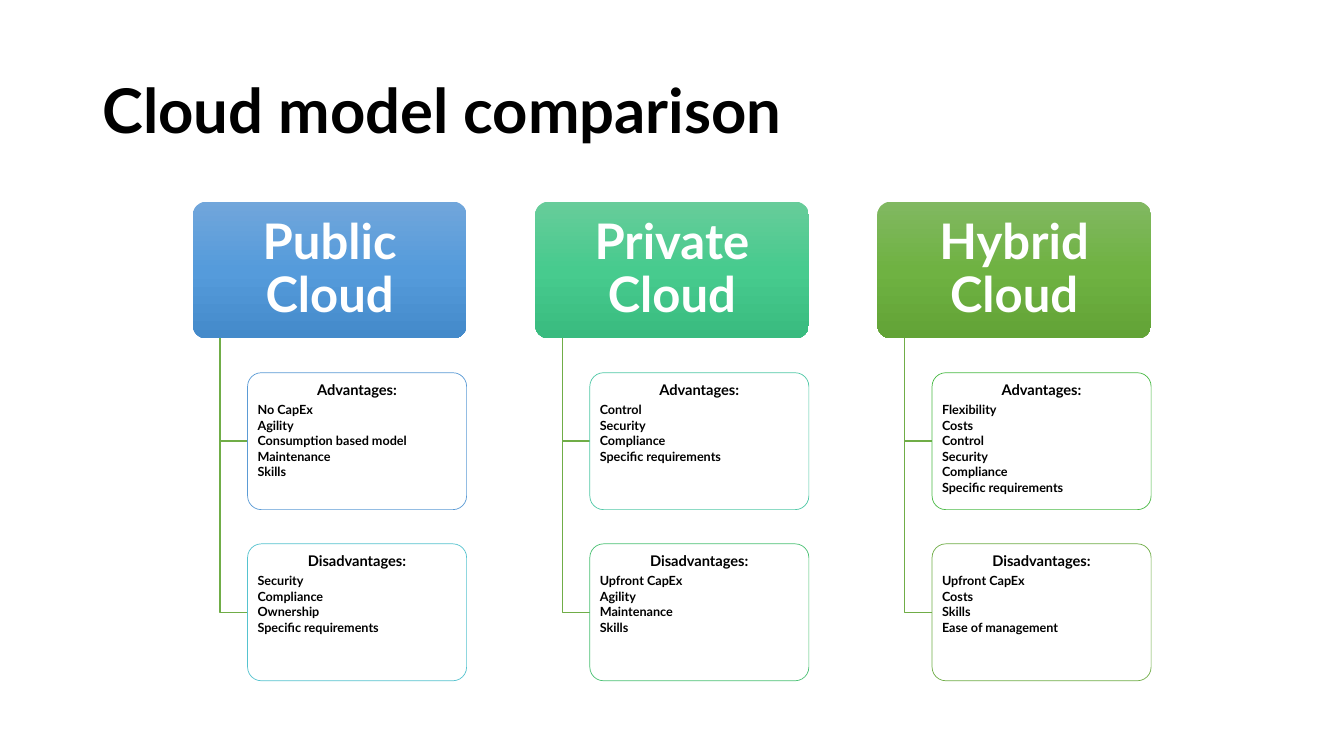
from copy import deepcopy

from pptx import Presentation
from pptx.dml.color import RGBColor
from pptx.enum.shapes import MSO_SHAPE
from pptx.enum.text import MSO_ANCHOR, MSO_AUTO_SIZE, PP_ALIGN
from pptx.util import Cm, Pt

# Grid in cm: every size follows from the header width
LEFT, TOP = 4.86, 5.08
HEAD_W = 6.9
BOX_H = HEAD_W / 2
COL_STEP = HEAD_W * 1.25
ROW_STEP = BOX_H * 1.25
CARD_INDENT = HEAD_W / 5
CARD_W = HEAD_W - CARD_INDENT
STEM = HEAD_W / 10

# Heading, gradient, then (card title, outline, items) for each cloud model
MODELS = [
    ("Public Cloud", ("71A6DB", "559BDB", "448ACA"), [
        ("Advantages:", "5B9BD5", ["No CapEx", "Agility", "Consumption based model",
                                   "Maintenance", "Skills"]),
        ("Disadvantages:", "55C3CF", ["Security", "Compliance", "Ownership",
                                      "Specific requirements"]),
    ]),
    ("Private Cloud", ("67CC9A", "47CB8E", "39BB7F"), [
        ("Advantages:", "50C8A7", ["Control", "Security", "Compliance",
                                   "Specific requirements"]),
        ("Disadvantages:", "4BC174", ["Upfront CapEx", "Agility", "Maintenance", "Skills"]),
    ]),
    ("Hybrid Cloud", ("81B861", "6FB242", "62A336"), [
        ("Advantages:", "4ABA46", ["Flexibility", "Costs", "Control", "Security",
                                   "Compliance", "Specific requirements"]),
        ("Disadvantages:", "70AD47", ["Upfront CapEx", "Costs", "Skills",
                                      "Ease of management"]),
    ]),
]


def rgb(value):
    return RGBColor.from_string(value)


def write(p, text, size=9, color="000000", align=PP_ALIGN.LEFT, after=0):
    p.alignment = align
    p.line_spacing = 0.9
    p.space_before = Pt(0)
    p.space_after = Pt(after)
    r = p.add_run()
    r.text = text
    r.font.name = "Lato"
    r.font.size = Pt(size)
    r.font.bold = True
    r.font.color.rgb = rgb(color)


class ComparisonSlide:
    link_color = "70AD47"

    def __init__(self, s):
        self.s = s

    def title(self, text):
        sp = self.s.shapes.title
        sp.left, sp.top, sp.width, sp.height = Cm(2.33), Cm(1.01), Cm(29.21), Cm(3.68)
        tf = sp.text_frame
        tf.auto_size = MSO_AUTO_SIZE.NONE
        tf.vertical_anchor = MSO_ANCHOR.MIDDLE
        write(tf.paragraphs[0], text, size=44)

    def box(self, x, y, w, anchor, inset_x, inset_y):
        sp = self.s.shapes.add_shape(MSO_SHAPE.ROUNDED_RECTANGLE,
                                     Cm(x), Cm(y), Cm(w), Cm(BOX_H))
        sp.adjustments[0] = 0.1
        sp.shadow.inherit = False
        tf = sp.text_frame
        tf.word_wrap = True
        tf.vertical_anchor = anchor
        tf.margin_left = tf.margin_right = Cm(inset_x)
        tf.margin_top = tf.margin_bottom = Cm(inset_y)
        return sp

    def header(self, x, y, text, colors):
        sp = self.box(x, y, HEAD_W, MSO_ANCHOR.MIDDLE, 0.28, 0.22)
        sp.line.fill.background()
        sp.fill.gradient()
        sp.fill.gradient_angle = 270
        stops = sp.element.xpath(".//a:gsLst")[0]
        stops.append(deepcopy(stops[0]))
        for stop, color, position in zip(sp.fill.gradient_stops, colors, (0, 0.5, 1)):
            stop.color.rgb = rgb(color)
            stop.position = position
        write(sp.text_frame.paragraphs[0], text, size=35, color="FFFFFF",
              align=PP_ALIGN.CENTER, after=12.25)

    def card(self, x, y, title, outline, items):
        sp = self.box(x, y, CARD_W, MSO_ANCHOR.TOP, 0.15, 0.15)
        sp.fill.solid()
        sp.fill.fore_color.rgb = rgb("FFFFFF")
        sp.line.color.rgb = rgb(outline)
        sp.line.width = Pt(0.5)
        tf = sp.text_frame
        write(tf.paragraphs[0], title, size=10.5, align=PP_ALIGN.CENTER, after=3.68)
        for item in items:
            write(tf.add_paragraph(), item, after=1.35)

    def link(self, x, y, end_x, end_y):
        path = self.s.shapes.build_freeform(Cm(x), Cm(y))
        path.add_line_segments([(Cm(x), Cm(end_y)), (Cm(end_x), Cm(end_y))], close=False)
        sp = path.convert_to_shape()
        sp.shadow.inherit = False
        sp.fill.background()
        sp.line.color.rgb = rgb(self.link_color)
        sp.line.width = Pt(1)


def main():
    prs = Presentation()
    prs.slide_width, prs.slide_height = Cm(33.87), Cm(19.05)
    slide = ComparisonSlide(prs.slides.add_slide(prs.slide_layouts[5]))
    slide.title("Cloud model comparison")

    # One column per model, cards hanging below its header
    for col, (name, colors, cards) in enumerate(MODELS):
        x = LEFT + col * COL_STEP
        slide.header(x, TOP, name, colors)
        for row, (title, outline, items) in enumerate(cards, start=1):
            y = TOP + row * ROW_STEP
            slide.link(x + STEM, TOP + BOX_H, x + CARD_INDENT, y + BOX_H / 2)
            slide.card(x + CARD_INDENT, y, title, outline, items)

    prs.save("out.pptx")


if __name__ == "__main__":
    main()
